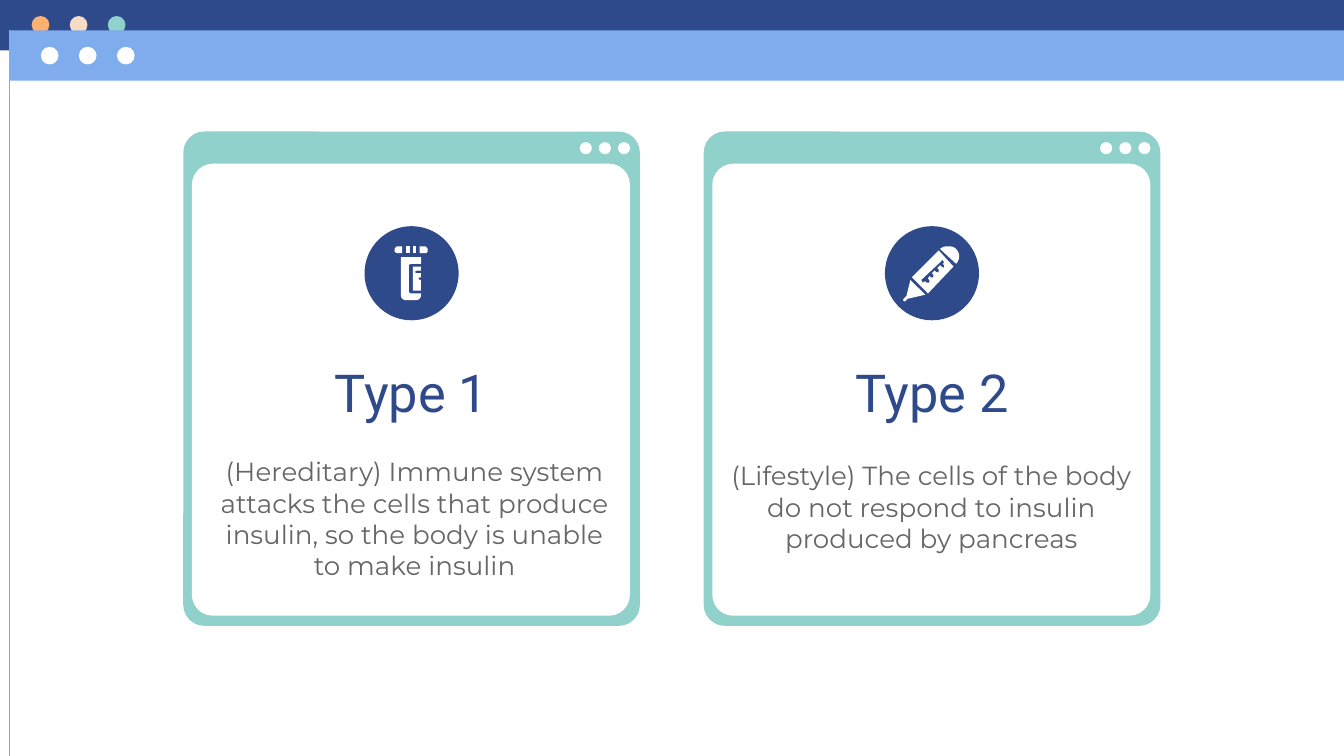
import pptx
import pptx.util
import pptx.dml.color
import pptx.enum.shapes
import pptx.enum.text
import lxml.etree

Pt = pptx.util.Pt
KIND = pptx.enum.shapes.MSO_SHAPE

THEME = {
    "navy": "2F4A8A", "sky": "7EACEC", "mint": "90D1CB", "peach": "FFB172",
    "blush": "F8DBC4", "white": "FFFFFF", "gray": "666666",
    "head": ("Roboto", 28), "body": ("Montserrat", 14),
}

# Icon outlines, in hundredths of an inch from the top left of the disc.
# Pairs are corners; six numbers are a Bezier curve. Each icon is a list of
# shapes, each shape a list of contours.
TUBE = [
    [[(27, 23), (27, 51), (27, 54, 29, 55, 31, 55), (38, 55),
      (40, 55, 42, 54, 42, 51), (42, 50), (34, 50), (33, 49), (33, 29),
      (34, 28), (42, 28), (42, 23)]],
    [[(36, 30), (36, 48), (42, 48), (42, 40), (41, 40), (40, 39), (41, 38),
      (42, 38), (42, 35), (39, 35), (37, 34), (39, 33), (42, 33), (42, 30)]],
    [[(24, 15), (22.5, 16.5), (22.5, 19), (24, 20), (28, 20), (28, 15)]],
    [[(41, 15), (41, 20), (46, 20), (47, 19), (47, 16.5), (45.5, 15)]],
    [[(31, 15), (31, 20), (33.5, 20), (33.5, 15)]],
    [[(36, 15), (36, 20), (38.5, 20), (38.5, 15)]],
]
PENCIL = [
    [[(40, 18), (20, 38), (32, 50), (51, 30)],
     [(43, 25), (44, 27), (43, 28), (44, 29), (44, 31), (42, 30), (41, 29),
      (39, 31), (40, 32), (40, 34.5), (38, 34), (37, 33), (35, 35), (36, 36),
      (36, 38), (34, 38), (33, 37), (32, 39), (33, 40), (33, 42), (31, 42),
      (30, 41), (28, 42), (27, 40)]],
    [[(47, 15), (45, 15, 43, 15, 41, 17), (53, 28),
      (56, 25, 56, 20, 53, 17), (51, 15, 49, 15, 47, 15)]],
    [[(19, 40), (16, 52), (14, 54), (13, 55, 14, 56, 15, 56), (17, 54),
      (30, 51)]],
]

# Heading, text, icon, and left, top, width, height of the text
CARDS = [
    ("Type 1", "(Hereditary) Immune system attacks the cells that produce "
     "insulin, so the body is unable to make insulin", TUBE,
     (106.6, 236.9, 231.1, 69.1)),
    ("Type 2", "(Lifestyle) The cells of the body do not respond to insulin "
     "produced by pancreas", PENCIL, (380.9, 239, 236.2, 65.5)),
]

# Colour, left, top, first dot centre, dot colours
BARS = [
    ("navy", 0, 0, (21.7, 13.3), ("peach", "blush", "mint")),
    ("sky", 5, 16.2, (26.6, 29.8), ("white",) * 3),
]

WIDE, HIGH = 720, 405
BAR = 27
LEFT, TOP, STEP = 98.2, 70.5, 278.8
CARD = (244.6, 264.8)
PANE = (4.6, 17.2, 234.7, 242.2)
DISC = 50.4


def tint(name):
    return pptx.dml.color.RGBColor.from_string(THEME[name])


def paint(item, name):
    item.shadow.inherit = False
    item.fill.solid()
    item.fill.fore_color.rgb = tint(name)
    item.line.fill.background()


def block(slide, kind, box, name, bend=None):
    item = slide.shapes.add_shape(kind, *map(Pt, box))
    if bend is not None:
        item.adjustments[0] = bend
    paint(item, name)


def dots(slide, start, step, size, names):
    """Draw a row of dots, given the centre of the first."""
    x, y = start
    for i, name in enumerate(names):
        box = (x + i * step - size / 2, y - size / 2, size, size)
        block(slide, KIND.OVAL, box, name)


def trace(path):
    """Turn corners and curves into points, in hundredths of a point."""
    ends = [path[0]]
    for part in path[1:]:
        if len(part) == 2:
            ends.append(part)
            continue
        hooks = [ends[-1], part[:2], part[2:4], part[4:]]
        for t in (0.2, 0.4, 0.6, 0.8, 1):
            mix = ((1 - t) ** 3, 3 * t * (1 - t) ** 2, 3 * t * t * (1 - t), t ** 3)
            ends.append(tuple(sum(m * h[k] for m, h in zip(mix, hooks))
                              for k in (0, 1)))
    return [(x * 72, y * 72) for x, y in ends]


def draw(slide, icon, x, y):
    for paths in icon:
        first, *rest = map(trace, paths)
        pen = slide.shapes.build_freeform(*first[0], scale=Pt(0.01))
        pen.add_line_segments(first[1:])
        for hole in rest:
            pen.move_to(*hole[0])
            pen.add_line_segments(hole[1:])
        paint(pen.convert_to_shape(Pt(x), Pt(y)), "white")


def write(holder, text, box, style, name):
    """Fill a placeholder and bring it in front of the cards."""
    holder.left, holder.top, holder.width, holder.height = map(Pt, box)
    frame = holder.text_frame
    frame.text = text
    frame.word_wrap = True
    frame.auto_size = pptx.enum.text.MSO_AUTO_SIZE.NONE
    frame.vertical_anchor = pptx.enum.text.MSO_ANCHOR.TOP
    frame.margin_left = frame.margin_right = Pt(7.2)
    frame.margin_top = frame.margin_bottom = Pt(7.2)
    para = frame.paragraphs[0]
    para.alignment = pptx.enum.text.PP_ALIGN.CENTER
    para.space_before = Pt(0)
    props = para._p.get_or_add_pPr()
    props.set("marL", "0")
    props.set("indent", "0")
    lxml.etree.SubElement(props, pptx.oxml.ns.qn("a:buNone"))
    font = para.runs[0].font
    font.name, size = THEME[style]
    font.size = Pt(size)
    font.bold = False
    font.color.rgb = tint(name)
    holder.element.getparent().append(holder.element)


def frame(slide):
    """Draw the two window bars and the edge at the left."""
    for name, x, y, start, names in BARS:
        block(slide, KIND.RECTANGLE, (x, y, WIDE - x, BAR), name)
        dots(slide, start, 20.4, 9.5, names)
    edge = slide.shapes.add_connector(
        pptx.enum.shapes.MSO_CONNECTOR.STRAIGHT, Pt(5), Pt(16.2), Pt(5), Pt(HIGH))
    edge.line.color.rgb = tint("sky")
    edge.line.width = Pt(0.75)
    lxml.etree.SubElement(edge.element.spPr, pptx.oxml.ns.qn("a:effectLst"))


def main():
    deck = pptx.Presentation()
    deck.slide_width, deck.slide_height = Pt(WIDE), Pt(HIGH)
    slide = deck.slides.add_slide(deck.slide_layouts.get_by_name("Comparison"))
    title, *slots = slide.placeholders
    title.element.getparent().remove(title.element)

    frame(slide)
    for i, (head, text, icon, box) in enumerate(CARDS):
        x = LEFT + i * STEP
        dx, dy, *size = PANE
        block(slide, KIND.ROUNDED_RECTANGLE, (x, TOP, *CARD), "mint", 0.046)
        block(slide, KIND.ROUNDED_RECTANGLE, (x + dx, TOP + dy, *size), "white", 0.048)
        dots(slide, (x + 215.6, 79.4), 10.25, 6.5, ("white",) * 3)
        left, top = x + (CARD[0] - DISC) / 2, 121.2
        block(slide, KIND.OVAL, (left, top, DISC, DISC), "navy")
        draw(slide, icon, left, top)
        write(slots[2 * i], head, (x + 21.5, 185.8, 201.6, 36.7), "head", "navy")
        write(slots[2 * i + 1], text, box, "body", "gray")
    deck.save("out.pptx")


if __name__ == "__main__":
    main()
